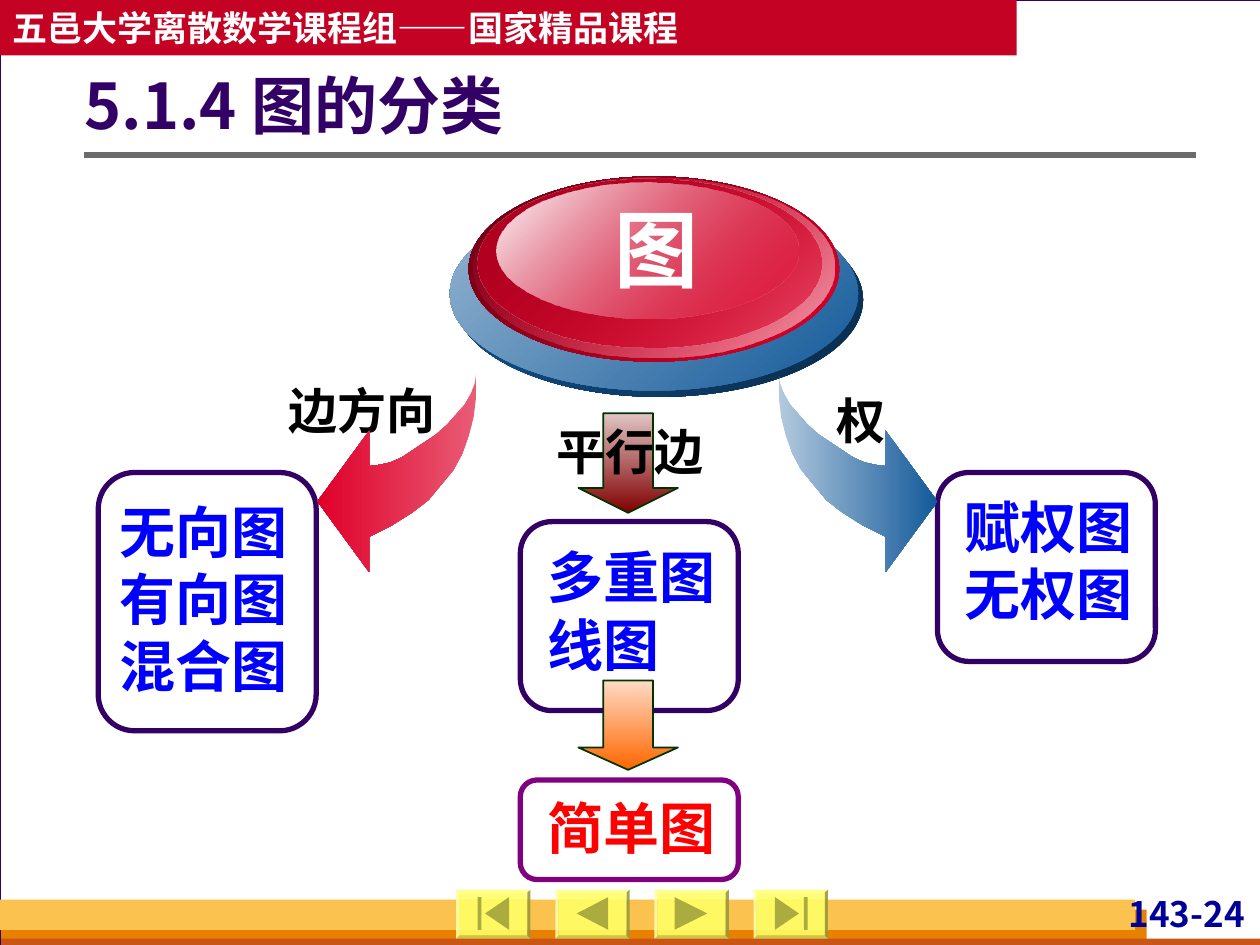
from lxml.etree import SubElement
from pptx import Presentation
from pptx.dml.color import RGBColor
from pptx.enum.shapes import MSO_CONNECTOR as Connector, MSO_SHAPE as Shape
from pptx.enum.text import MSO_ANCHOR as Anchor, PP_ALIGN as Align
from pptx.oxml.ns import qn
from pptx.util import Inches, Pt

SANS = "Noto Sans CJK SC"
PURPLE, BLUE, WHITE, BLACK = "330066", "0000FF", "FFFFFF", "000000"
YELLOW, OLIVE, GREEN = "FFFF66", "A3A33D", "003300"


def color(value):
    return RGBColor.from_string(value)


def set_all(target, values):
    for name, value in values.items():
        setattr(target, name, value)


class SlideBuilder:
    font = {"name": SANS, "bold": True}
    margins = (0.1, 0.05, 0.1, 0.05)

    def __init__(self, page):
        self.page = page

    def paint(self, shape, fill=None, line=None, angle=0):
        shape.shadow.inherit = False
        if fill is None:
            shape.fill.background()
        else:
            stops = [fill] if isinstance(fill, tuple) else fill
            if len(stops) == 1:
                shape.fill.solid()
                shape.fill.fore_color.rgb = color(stops[0][0])
            else:
                shape.fill.gradient()
                shape.fill.gradient_angle = (360 - angle) % 360
                for stop, (value, opacity) in zip(shape.fill.gradient_stops, stops):
                    stop.color.rgb = color(value)
            tags = list(shape.fill._xPr.iter(qn("a:srgbClr")))
            for tag, (value, opacity) in zip(tags, stops):
                if opacity < 100:
                    SubElement(tag, qn("a:alpha"), val=str(opacity * 1000))
        if line is None:
            shape.line.fill.background()
        else:
            shape.line.color.rgb = color(line[0])
            shape.line.width = Pt(line[1])

    def shape(self, kind, place, adjust=(), **look):
        shape = self.page.shapes.add_shape(kind, *map(Inches, place))
        for index, value in enumerate(adjust):
            shape.adjustments[index] = value
        self.paint(shape, **look)
        return shape

    def outline(self, contours, **look):
        first, *others = [[(Inches(x), Inches(y)) for x, y in contour]
                          for contour in contours]
        builder = self.page.shapes.build_freeform(*first[0], scale=1.0)
        builder.add_line_segments(first[1:], close=True)
        for contour in others:
            builder.move_to(*contour[0])
            builder.add_line_segments(contour[1:], close=True)
        self.paint(builder.convert_to_shape(), **look)

    def text(self, place, lines, size, ink, name=SANS, margins=margins,
             anchor=Anchor.TOP, align=Align.LEFT, spacing=1.0):
        box = self.page.shapes.add_textbox(*map(Inches, place))
        left, top, right, bottom = map(Inches, margins)
        frame = box.text_frame
        set_all(frame, {"word_wrap": True, "vertical_anchor": anchor,
                        "margin_left": left, "margin_top": top,
                        "margin_right": right, "margin_bottom": bottom})
        for index, line in enumerate(lines):
            para = frame.add_paragraph() if index else frame.paragraphs[0]
            set_all(para, {"alignment": align, "line_spacing": spacing})
            span = para.add_run()
            span.text = line
            set_all(span.font, {**self.font, "name": name, "size": Pt(size)})
            span.font.color.rgb = color(ink)
            SubElement(span.font._element, qn("a:ea"), typeface=name)

    def rule(self, start, end, ink, width):
        line = self.page.shapes.add_connector(
            Connector.STRAIGHT, *map(Inches, start + end))
        line.line.color.rgb = color(ink)
        line.line.width = Pt(width)
        SubElement(line._element.spPr, qn("a:effectLst"))

    def button(self, left, icon):
        top = 7.06
        self.shape(Shape.BEVEL, (left, top, 0.59, 0.39), (0.0625,),
                   fill=(YELLOW, 90))
        contours = [[(left + x, top + y) for x, y in part] for part in icon]
        self.outline(contours, fill=(OLIVE, 90))

    def card(self, place, text_place, lines, ink=BLUE, border=PURPLE):
        self.shape(Shape.ROUNDED_RECTANGLE, place, (0.167,), line=(border, 3))
        self.text(text_place, lines, 32, ink)

    def label(self, left, top, words):
        self.text((left, top, 1.42, 0.66), [words], 28, BLACK,
                  align=Align.CENTER, spacing=1.2)

    def down_arrow(self, top, height, dark, light):
        self.shape(Shape.DOWN_ARROW, (4.59, top, 0.79, height), (0.5, 0.25),
                   fill=[(dark, 100), (light, 100)], angle=270, line=(GREEN, 1))


def triangle(tip, base):
    return [(tip, 0.19), (base, 0.06), (base, 0.32)]


def bar(left):
    return [(left, 0.06), (left + 0.03, 0.06), (left + 0.03, 0.32), (left, 0.32)]


BUTTONS = [
    [triangle(0.23, 0.42), bar(0.17)],
    [triangle(0.17, 0.42)],
    [triangle(0.42, 0.16)],
    [triangle(0.36, 0.17), bar(0.4)],
]

DISCS = [
    ((3.61, 1.61, 3.24, 1.54), ("092B4A", 100), ("135A9A", 100)),
    ((3.57, 1.56, 3.24, 1.54), ("135A9A", 100), ("95B5D1", 100)),
    ((3.72, 1.4, 2.94, 1.47), ("DF0029", 100), ("660012", 100)),
    ((3.76, 1.41, 2.86, 1.43), ("F2A5B3", 100), ("DF0029", 0)),
    ((3.79, 1.42, 2.73, 1.34), ("DF0029", 48), ("AF0020", 100)),
    ((3.94, 1.45, 2.4, 1.08), ("DF0029", 38), ("FEFEFE", 100)),
]

CURVED_ARROW = [
    (3.78, 2.96), (3.78, 3.14), (3.76, 3.31), (3.72, 3.46), (3.67, 3.6),
    (3.6, 3.73), (3.5, 3.85), (3.4, 3.97), (3.27, 4.07), (3.11, 4.17),
    (2.93, 4.26), (2.93, 4.54), (2.52, 3.98), (2.93, 3.42), (2.93, 3.7),
    (3.01, 3.69), (3.1, 3.67), (3.19, 3.63), (3.28, 3.57), (3.37, 3.51),
    (3.46, 3.45), (3.55, 3.37), (3.62, 3.29), (3.69, 3.21), (3.74, 3.12),
    (3.77, 3.04),
]
MIRROR_WIDTH = 9.96


def draw_frame(slide):
    slide.shape(Shape.RECTANGLE, (0, 0, 10.01, 7.5), fill=(WHITE, 100),
                line=(PURPLE, 0.75))
    bands = [
        ((0, 0, 8.07, 0.44), "C30224"),
        ((0.01, 7.22, 9.09, 0.28), "E88000"),
        ((0.01, 7.45, 10, 0.08), "C95616"),
        ((0, 7.14, 9.01, 0.24), "FCC24F"),
    ]
    for place, ink in bands:
        slide.shape(Shape.RECTANGLE, place, fill=(ink, 100))
    slide.text((0, 0, 8.07, 0.44), ["五邑大学离散数学课程组——国家精品课程"],
               20, WHITE, anchor=Anchor.MIDDLE)
    slide.text((8.7, 7.08, 1.22, 0.33), ["143-24"], 20, "000099",
               margins=(0.04, 0, 0.04, 0), align=Align.RIGHT)
    slide.rule((0.67, 1.23), (9.49, 1.23), "6B6B6B", 3)
    for index, icon in enumerate(BUTTONS):
        slide.button(3.62 + 0.787 * index, icon)


def draw_diagram(slide):
    slide.text((0.67, 0.36, 8.82, 1.01), ["5.1.4 图的分类"], 36, PURPLE,
               margins=(0, 0.05, 0.1, 0.05), anchor=Anchor.MIDDLE, spacing=0.9)
    slide.label(2.16, 2.88, "边方向")
    slide.card((0.78, 3.75, 1.73, 2.05), (0.85, 3.9, 1.54, 1.7),
               ["无向图", "有向图", "混合图"])
    slide.outline([CURVED_ARROW], fill=[("E95C76", 100), ("DF0029", 100)],
                  angle=180)
    for place, *stops in DISCS:
        slide.shape(Shape.OVAL, place, fill=stops, angle=225)
    slide.text((4.78, 1.52, 0.86, 0.9), ["图"], 48, WHITE, name="Arial",
               align=Align.CENTER)
    slide.card((7.44, 3.75, 1.73, 1.5), (7.56, 3.86, 1.54, 1.17),
               ["赋权图无权图"])
    slide.outline([[(MIRROR_WIDTH - x, y) for x, y in CURVED_ARROW]],
                  fill=[("B3C9DE", 100), ("135A9A", 100)])
    slide.label(6.12, 2.96, "权")
    slide.card((4.13, 4.14, 1.73, 1.5), (4.25, 4.26, 1.54, 1.17),
               ["多重图", "线图"])
    slide.down_arrow(3.28, 0.79, "800000", "E1C5C5")
    slide.card((4.13, 6.19, 1.73, 0.79), (4.25, 6.25, 1.54, 0.64),
               ["简单图"], "FF0000", "800080")
    slide.down_arrow(5.4, 0.71, "FF6600", "FEDBC5")
    slide.label(4.29, 3.2, "平行边")


def main():
    deck = Presentation()
    set_all(deck, {"slide_width": Inches(10), "slide_height": Inches(7.5)})
    page = deck.slides.add_slide(deck.slide_layouts[6])
    page.background.fill.solid()
    page.background.fill.fore_color.rgb = color("D8DADA")
    slide = SlideBuilder(page)
    draw_frame(slide)
    draw_diagram(slide)
    deck.save("out.pptx")


if __name__ == "__main__":
    main()
